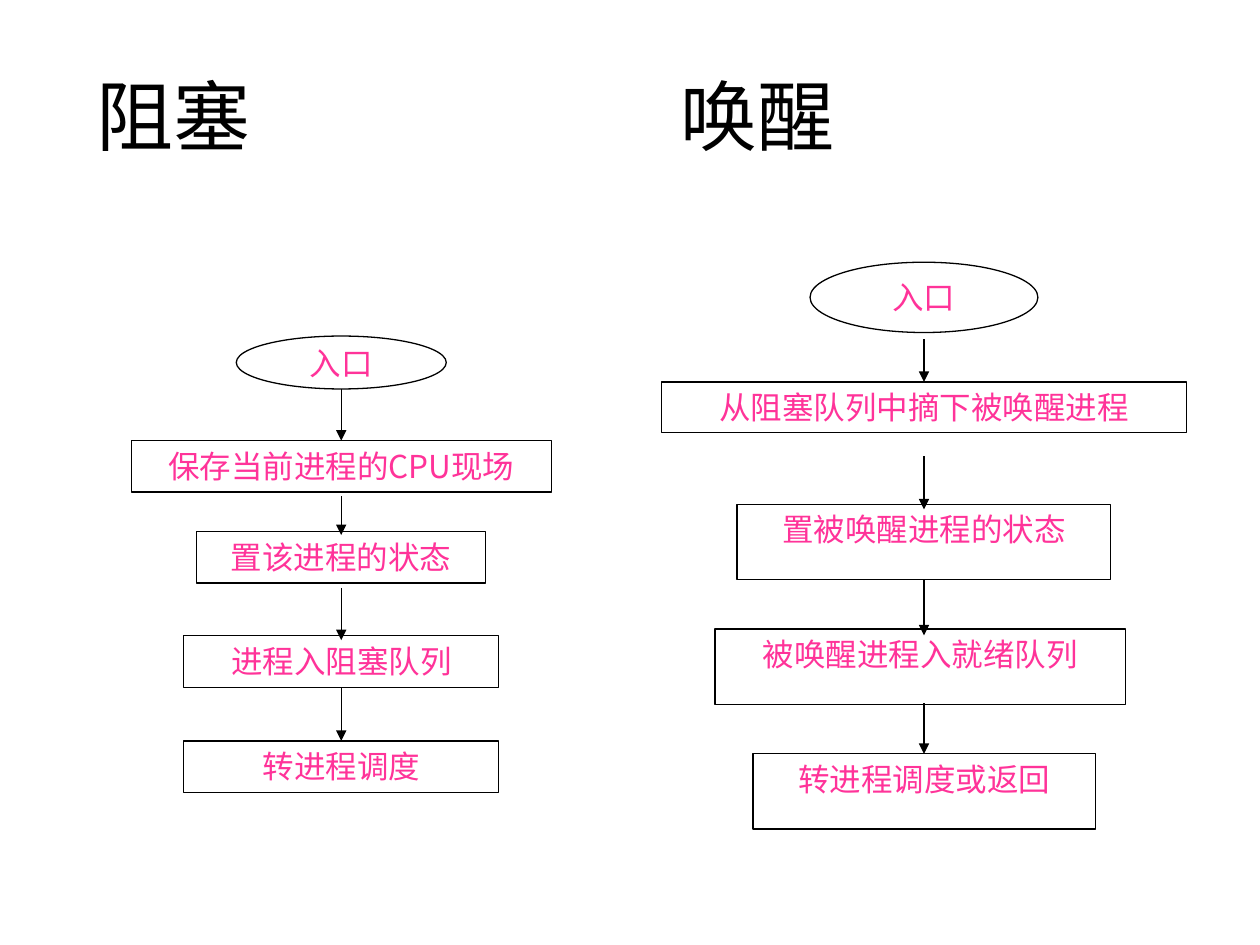
from dataclasses import dataclass

from lxml.etree import SubElement
from pptx import Presentation
from pptx.dml.color import RGBColor
from pptx.enum.lang import MSO_LANGUAGE_ID as LANG
from pptx.enum.shapes import MSO_CONNECTOR as CONN, MSO_SHAPE as SHAPE
from pptx.enum.text import MSO_ANCHOR as ANCHOR, PP_ALIGN as ALIGN
from pptx.oxml.ns import qn
from pptx.util import Inches, Pt


@dataclass(frozen=True)
class Theme:
    """Colours, fonts and sizes of the slide."""
    ink: RGBColor = RGBColor(0x00, 0x00, 0x00)
    accent: RGBColor = RGBColor(0xFF, 0x33, 0x99)
    title_font: str = "Calibri"
    block_font: str = "Noto Sans CJK SC"
    wake_font: str = "Cabin"
    cjk_font: str = "Noto Sans CJK SC"
    title_size: int = 44
    step_size: int = 18
    line: float = 0.75


T = Theme()
W, H = Inches(10), Inches(7.5)

BLOCK_STEPS = [
    ("入口", 0, 50, 11.6, 0),
    ("保存当前进程的CPU现场", 22.9, 100, 11.3, 0),
    ("置该进程的状态", 42.8, 68.8, 11.3, 0),
    ("进程入阻塞队列", 65.7, 75, 11.3, 0),
    ("转进程调度", 88.7, 75, 11.3, 0),
]
BLOCK_ARROWS = [(None, None), (35.1, 43.6), (55.2, 66.6), (None, None)]
WAKE_STEPS = [
    ("入口", 0, 43.4, 12.4, 0),
    ("从阻塞队列中摘下被唤醒进程", 21.1, 100, 8.9, 0),
    ("置被唤醒进程的状态", 42.7, 71.2, 13.3, 0),
    ("被唤醒进程入就绪队列", 64.7, 78.2, 13.3, -0.7),
    ("转进程调度或返回", 86.7, 65.2, 13.3, 0),
]
WAKE_ARROWS = [(13.6, None), (34.2, 43.6), (None, 65.8), (77.8, None)]


def write(s, text, *, font, size, color, align=ALIGN.LEFT, anchor=ANCHOR.TOP,
          wrap=True, spacing=None, tab=None):
    """Put one formatted paragraph into a shape, with an optional tab stop."""
    tf = s.text_frame
    tf.word_wrap, tf.vertical_anchor = wrap, anchor
    p = tf.paragraphs[0]
    p.alignment = align
    if spacing:
        p.line_spacing = spacing
    if tab:
        tabs = SubElement(p._p.get_or_add_pPr(), qn("a:tabLst"))
        SubElement(tabs, qn("a:tab"), pos=str(int(tab)), algn="l")
    r = p.add_run()
    r.text = text
    r.font.name, r.font.size = font, Pt(size)
    r.font.color.rgb = color
    r.font.language_id = LANG.SIMPLIFIED_CHINESE
    r.font._element.find(qn("a:latin")).addnext(
        r.font._element.makeelement(qn("a:ea"), {"typeface": T.cjk_font}))


def add_title(slide, box):
    """Place both headings on one line, the second at a tab stop."""
    x, y, w, h = box
    s = slide.shapes.add_textbox(x, y, w, h)
    write(s, "阻塞\t唤醒", font=T.title_font, size=T.title_size, color=T.ink,
          anchor=ANCHOR.MIDDLE, spacing=0.9, tab=w * 0.545)


def add_step(slide, box, text, font, entry):
    """Draw one outlined step, an ellipse for the entry."""
    s = slide.shapes.add_shape(SHAPE.OVAL if entry else SHAPE.RECTANGLE, *box)
    s.shadow.inherit = False
    s.fill.background()
    s.line.color.rgb, s.line.width = T.ink, Pt(T.line)
    write(s, text, font=font, size=T.step_size, color=T.accent, align=ALIGN.CENTER,
          anchor=ANCHOR.MIDDLE if entry else ANCHOR.TOP, wrap=not entry)
    return s


def add_arrow(slide, x, top, bottom, start=None, end=None):
    """Draw a downward arrow, joined to the given shapes."""
    c = slide.shapes.add_connector(CONN.STRAIGHT, x, top, x, bottom)
    c.line.color.rgb, c.line.width = T.ink, Pt(T.line)
    SubElement(c.line._get_or_add_ln(), qn("a:tailEnd"), type="triangle")
    SubElement(c._element.spPr, qn("a:effectLst"))
    if start is not None:
        c.begin_connect(start, 2)
    if end is not None:
        c.end_connect(end, 0)


def add_flow(slide, box, steps, arrows, font):
    """Stack steps given in percent of the box; an arrow end of None is joined."""
    x, y, w, h = box
    mid = int(x + w / 2)

    def row(share):
        """Turn a percentage of the box height into a slide position."""
        return int(y + h * share / 100)

    shapes = []
    for i, (text, top, width, height, shift) in enumerate(steps):
        left = int(mid + w * (shift - width / 2) / 100)
        at = left, row(top), int(w * width / 100), int(h * height / 100)
        shapes.append(add_step(slide, at, text, font, i == 0))
    for (top, bottom), start, end in zip(arrows, shapes, shapes[1:]):
        add_arrow(slide, mid,
                  start.top + start.height if top is None else row(top),
                  end.top if bottom is None else row(bottom),
                  start if top is None else None,
                  end if bottom is None else None)


def share(x, y, w, h):
    """Turn percentages of the slide into a box."""
    return tuple(int(v * full / 100) for v, full in zip((x, y, w, h), (W, H, W, H)))


def main():
    """Build and save the slide."""
    prs = Presentation()
    prs.slide_width, prs.slide_height = W, H
    slide = prs.slides.add_slide(prs.slide_layouts[6])
    add_title(slide, share(6.7, 4.4, 85, 16.67))
    add_flow(slide, share(10.42, 35.56, 33.33, 48.3), BLOCK_STEPS, BLOCK_ARROWS, T.block_font)
    add_flow(slide, share(52.5, 27.75, 41.67, 60), WAKE_STEPS, WAKE_ARROWS, T.wake_font)
    prs.save("out.pptx")


if __name__ == "__main__":
    main()
